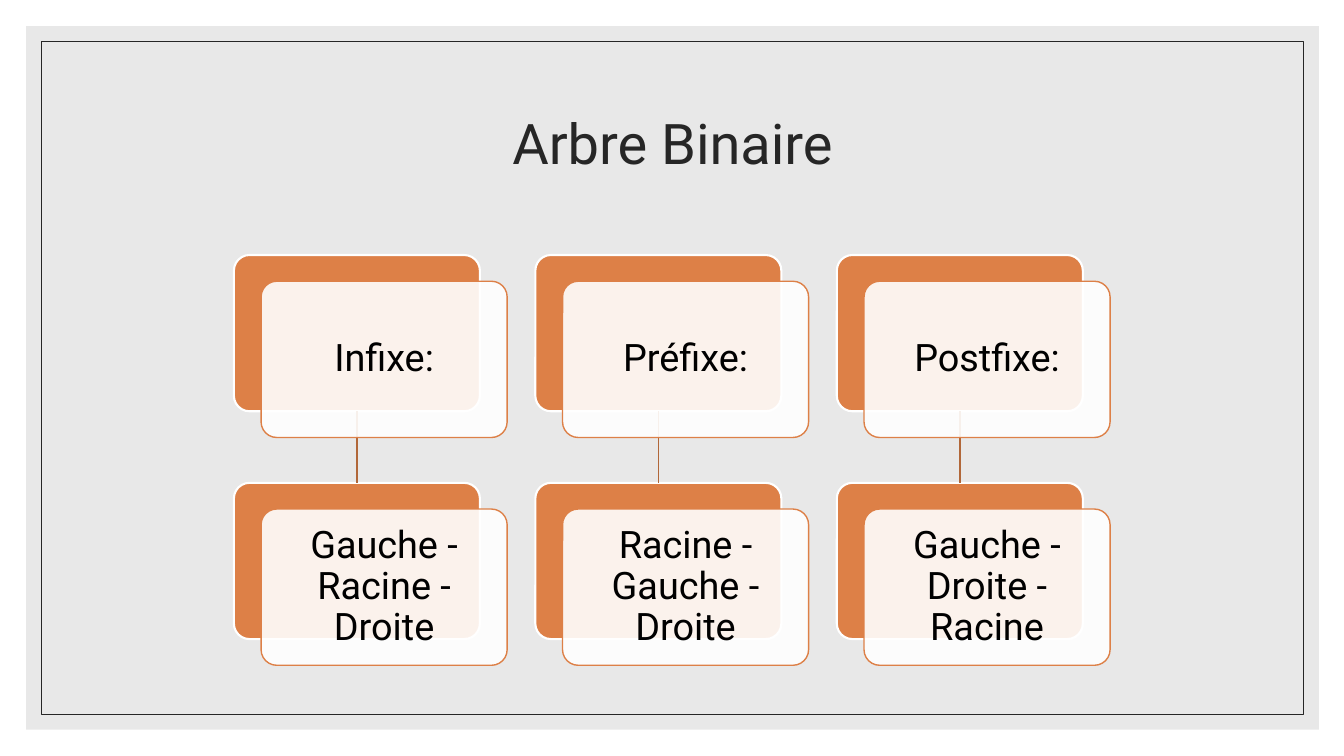
"""Build the "Arbre Binaire" slide: three tree traversals and their visiting orders."""
from dataclasses import dataclass
from typing import Optional

import lxml.etree
import pptx
import pptx.dml.color
import pptx.enum.shapes
import pptx.enum.text
import pptx.oxml.ns
import pptx.util
from pptx.util import Inches

FONT = "Roboto"
ORANGE = "DD8047"
DARK_ORANGE = "B16739"
WHITE = "FFFFFF"
DARK = "262626"
CARD_WIDTH, CARD_HEIGHT = 2.44, 1.55
FIRST_LEFT, FIRST_TOP = 2.32, 2.53
COLUMN_STEP, ROW_STEP = 2.99, 2.26
FRONT_OFFSET_X, FRONT_OFFSET_Y = 0.27, 0.26


@dataclass(frozen=True)
class Traversal:
    """A traversal name with the order in which it visits nodes."""

    name: str
    order: str


@dataclass(frozen=True)
class Box:
    """Position and look of a rectangle, in inches and points."""

    left: float
    top: float
    width: float
    height: float
    fill: Optional[str] = None
    opacity: int = 100
    line: Optional[str] = None
    line_width: float = 1
    rounded: bool = False


TRAVERSALS = [
    Traversal("Infixe:", "Gauche - Racine - Droite"),
    Traversal("Préfixe:", "Racine - Gauche - Droite"),
    Traversal("Postfixe:", "Gauche - Droite - Racine"),
]
PANEL = Box(0.26, 0.26, 12.82, 6.98, fill="D9D9D9", opacity=60)
FRAME = Box(0.41, 0.41, 12.52, 6.68, line=DARK, line_width=0.5)


def color(hex_value: str) -> pptx.dml.color.RGBColor:
    """Turn a hex string into a colour."""
    return pptx.dml.color.RGBColor.from_string(hex_value)


def draw_box(slide, box: Box):
    """Draw a square or rounded rectangle."""
    kinds = pptx.enum.shapes.MSO_SHAPE
    shape = slide.shapes.add_shape(
        kinds.ROUNDED_RECTANGLE if box.rounded else kinds.RECTANGLE,
        Inches(box.left), Inches(box.top), Inches(box.width), Inches(box.height),
    )
    shape.shadow.inherit = False
    if box.rounded:
        shape.adjustments[0] = 0.1
    if box.fill:
        shape.fill.solid()
        shape.fill.fore_color.rgb = color(box.fill)
        if box.opacity < 100:
            fill_color = shape.element.spPr.find(".//" + pptx.oxml.ns.qn("a:srgbClr"))
            lxml.etree.SubElement(
                fill_color, pptx.oxml.ns.qn("a:alpha"), val=str(box.opacity * 1000))
    else:
        shape.fill.background()
    if box.line:
        shape.line.color.rgb = color(box.line)
        shape.line.width = pptx.util.Pt(box.line_width)
    else:
        shape.line.fill.background()
    return shape


def write_text(shape, text: str, *, size: float, text_color: str, inset: float = 0.1) -> None:
    """Write one centred paragraph in a shape."""
    frame = shape.text_frame
    frame.word_wrap = True
    frame.auto_size = pptx.enum.text.MSO_AUTO_SIZE.NONE
    frame.vertical_anchor = pptx.enum.text.MSO_ANCHOR.MIDDLE
    frame.margin_left = frame.margin_right = Inches(inset)
    frame.margin_top = frame.margin_bottom = Inches(inset)
    paragraph = frame.paragraphs[0]
    paragraph.alignment = pptx.enum.text.PP_ALIGN.CENTER
    paragraph.line_spacing = 0.9
    run = paragraph.add_run()
    run.text = text
    run.font.name = FONT
    run.font.size = pptx.util.Pt(size)
    run.font.color.rgb = color(text_color)


def draw_back_card(slide, column: int, row: int):
    """Draw the orange card of a grid cell."""
    return draw_box(slide, Box(
        FIRST_LEFT + column * COLUMN_STEP, FIRST_TOP + row * ROW_STEP,
        CARD_WIDTH, CARD_HEIGHT, fill=ORANGE, line=WHITE, line_width=1.5, rounded=True,
    ))


def draw_front_card(slide, column: int, row: int, text: str) -> None:
    """Draw the translucent labelled card of a grid cell."""
    card = draw_box(slide, Box(
        FIRST_LEFT + column * COLUMN_STEP + FRONT_OFFSET_X,
        FIRST_TOP + row * ROW_STEP + FRONT_OFFSET_Y,
        CARD_WIDTH, CARD_HEIGHT, fill=WHITE, opacity=90, line=ORANGE, rounded=True,
    ))
    write_text(card, text, size=27, text_color="000000", inset=0.11)


def join_cards(slide, upper, lower) -> None:
    """Connect the bottom of one card to the top of another."""
    connector = slide.shapes.add_connector(
        pptx.enum.shapes.MSO_CONNECTOR.STRAIGHT, 0, 0, 0, 0)
    connector.begin_connect(upper, 2)
    connector.end_connect(lower, 0)
    connector.line.color.rgb = color(DARK_ORANGE)
    connector.line.width = pptx.util.Pt(1)
    lxml.etree.SubElement(connector.element.spPr, pptx.oxml.ns.qn("a:effectLst"))


def main() -> None:
    """Build and save the slide."""
    presentation = pptx.Presentation()
    presentation.slide_width = Inches(13.33)
    presentation.slide_height = Inches(7.5)
    slide = presentation.slides.add_slide(presentation.slide_layouts[5])
    slide.background.fill.solid()
    slide.background.fill.fore_color.rgb = color(WHITE)

    title = slide.shapes.title
    title.left, title.top = Inches(1.17), Inches(0.7)
    title.width, title.height = Inches(11), Inches(1.5)
    write_text(title, "Arbre Binaire", size=40, text_color=DARK)
    for box in (PANEL, FRAME):
        title.element.addprevious(draw_box(slide, box).element)

    for column, traversal in enumerate(TRAVERSALS):
        name_card = draw_back_card(slide, column, 0)
        order_card = draw_back_card(slide, column, 1)
        join_cards(slide, name_card, order_card)
        draw_front_card(slide, column, 0, traversal.name)
        draw_front_card(slide, column, 1, traversal.order)

    presentation.save("out.pptx")


if __name__ == "__main__":
    main()
